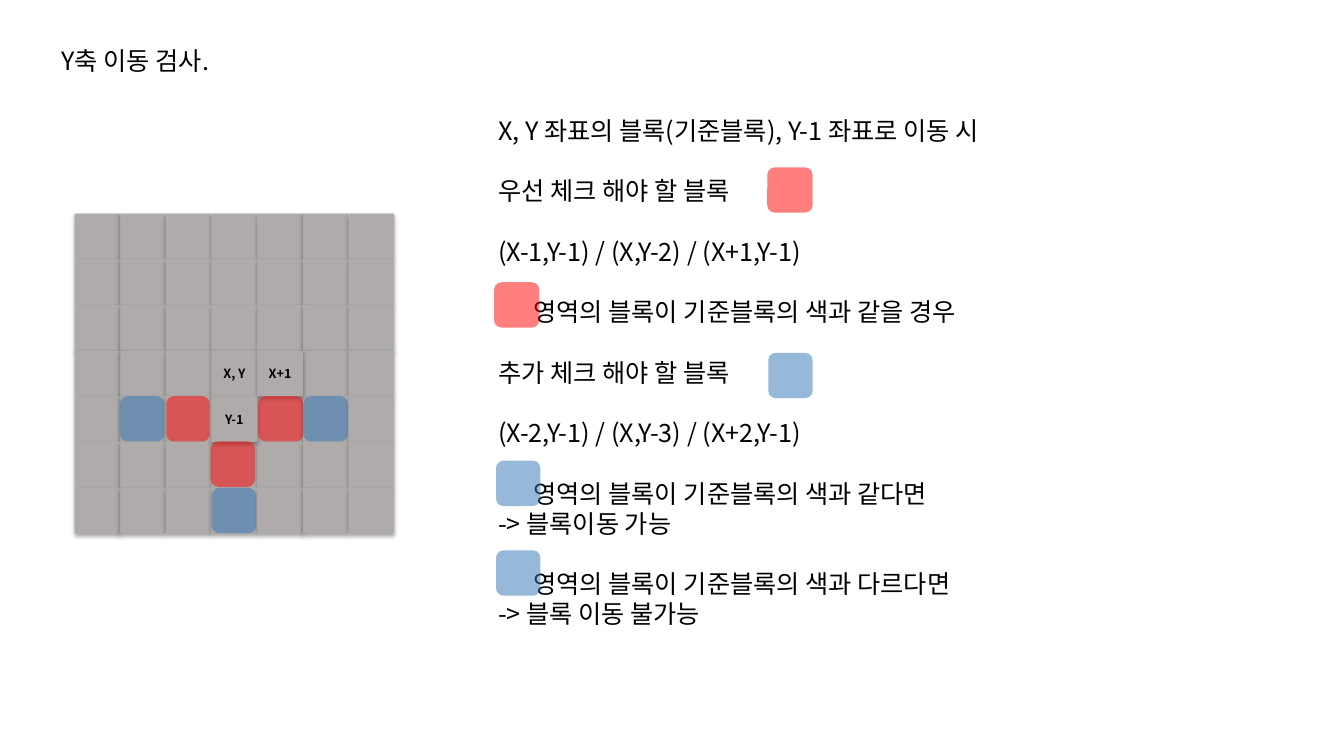
from lxml import etree
from pptx import Presentation
from pptx.dml.color import RGBColor
from pptx.enum.shapes import MSO_SHAPE
from pptx.enum.text import MSO_ANCHOR, MSO_AUTO_SIZE, PP_ALIGN
from pptx.oxml import parse_xml
from pptx.oxml.ns import nsdecls, qn
from pptx.util import Inches, Pt

RECTANGLE, ROUNDED = MSO_SHAPE.RECTANGLE, MSO_SHAPE.ROUNDED_RECTANGLE
TOP, MIDDLE = MSO_ANCHOR.TOP, MSO_ANCHOR.MIDDLE
LEFT, CENTER = PP_ALIGN.LEFT, PP_ALIGN.CENTER
NO_AUTOFIT = MSO_AUTO_SIZE.NONE

FONT = "Noto Sans CJK KR"
GRAY, RED, BLUE = "AFABAB", "FF0000", "2E75B6"
LINE_HEIGHT = Pt(21.6)
SHADOW = (
    f'<a:effectLst {nsdecls("a")}><a:outerShdw blurRad="{Pt(3.1)}" dist="{Pt(1.8)}" '
    'dir="5400000" algn="t" rotWithShape="0"><a:srgbClr val="000000">'
    '<a:alpha val="35000"/></a:srgbClr></a:outerShdw></a:effectLst>'
)


def add_block(kind, left, top, width, color):
    shape = slide.shapes.add_shape(
        kind, Inches(left), Inches(top), Inches(width), Inches(0.45))
    shape.shadow.inherit = False
    shape.fill.solid()
    shape.fill.fore_color.rgb = RGBColor.from_string(color)
    shape.line.fill.background()
    return shape


def format_paragraph(paragraph, size, bold, alignment):
    paragraph.alignment = alignment
    for run in paragraph.runs:
        run.font.size = Pt(size)
        run.font.bold = bold
        run.font.name = FONT
        run.font.color.rgb = RGBColor.from_string("000000")
        east_asian = etree.SubElement(run.font._element, qn("a:ea"))
        east_asian.set("typeface", FONT)


presentation = Presentation()
presentation.slide_width = Inches(13.33)
presentation.slide_height = Inches(7.5)
slide = presentation.slides.add_slide(presentation.slide_layouts[1])

# Title and explanation: text, left indent in inches, blank line above
title_lines = [("Y축 이동 검사.", 0, False)]
explanation_lines = [
    ("X, Y 좌표의 블록(기준블록), Y-1 좌표로 이동 시", 0, False),
    ("우선 체크 해야 할 블록", 0, True),
    ("(X-1,Y-1) / (X,Y-2) / (X+1,Y-1)", 0, True),
    ("영역의 블록이 기준블록의 색과 같을 경우", 0.35, True),
    ("추가 체크 해야 할 블록", 0, True),
    ("(X-2,Y-1) / (X,Y-3) / (X+2,Y-1)", 0, True),
    ("영역의 블록이 기준블록의 색과 같다면", 0.35, True),
    ("-> 블록이동 가능", 0, False),
    ("영역의 블록이 기준블록의 색과 다르다면", 0.35, True),
    ("-> 블록 이동 불가능", 0, False),
]
text_areas = [
    (slide.shapes.title, (0.51, 0.4, 12.4, 0.4), title_lines),
    (slide.placeholders[1], (4.84, 1.09, 7.85, 5.25), explanation_lines),
]
for placeholder, box, lines in text_areas:
    placeholder.left, placeholder.top, placeholder.width, placeholder.height = map(Inches, box)
    text_frame = placeholder.text_frame
    text_frame.text = "\n".join(text for text, indent, gap in lines)
    text_frame.word_wrap = True
    text_frame.auto_size = NO_AUTOFIT
    text_frame.vertical_anchor = TOP
    for paragraph, (text, indent, gap) in zip(text_frame.paragraphs, lines):
        format_paragraph(paragraph, 18, False, LEFT)
        paragraph.line_spacing = LINE_HEIGHT
        paragraph.space_before = LINE_HEIGHT if gap else Pt(0)
        paragraph.space_after = Pt(0)
        properties = paragraph._p.get_or_add_pPr()
        properties.set("marL", str(Inches(indent)))
        properties.set("indent", "0")
        etree.SubElement(properties, qn("a:buNone"))

# Seven by seven board, labelled cells in front
BOARD_LEFT, BOARD_TOP, CELLS = 0.74, 2.12, 7
PITCH = 2.72 / (CELLS - 1)
labels = {(3, 3): "X, Y", (3, 4): "X+1", (4, 3): "Y-1"}
cells = [(row, column) for row in range(CELLS) for column in range(CELLS)]
for row, column in sorted(cells, key=lambda cell: cell in labels):
    block = add_block(RECTANGLE, BOARD_LEFT + column * PITCH, BOARD_TOP + row * PITCH, 0.45, GRAY)
    properties = block._element.spPr
    properties.replace(properties.find(qn("a:effectLst")), parse_xml(SHADOW))
    if (row, column) in labels:
        text_frame = block.text_frame
        text_frame.text = labels[row, column]
        text_frame.word_wrap = False
        text_frame.margin_left = text_frame.margin_right = 0
        text_frame.vertical_anchor = MIDDLE
        format_paragraph(text_frame.paragraphs[0], 9, True, CENTER)

# Half-transparent markers on the board and beside the text: left, top, width
markers = {
    RED: [(2.09, 4.38, 0.44), (1.65, 3.93, 0.43), (2.56, 3.93, 0.45),
          (7.61, 1.66, 0.45), (4.9, 2.8, 0.45)],
    BLUE: [(1.19, 3.93, 0.44), (3.01, 3.93, 0.44), (2.1, 4.84, 0.44),
           (7.62, 3.5, 0.44), (4.92, 4.57, 0.44), (4.92, 5.46, 0.44)],
}
for color, places in markers.items():
    for left, top, width in places:
        marker = add_block(ROUNDED, left, top, width, color)
        color_element = marker._element.spPr.find(qn("a:solidFill"))[0]
        etree.SubElement(color_element, qn("a:alpha")).set("val", "50000")

presentation.save("out.pptx")
